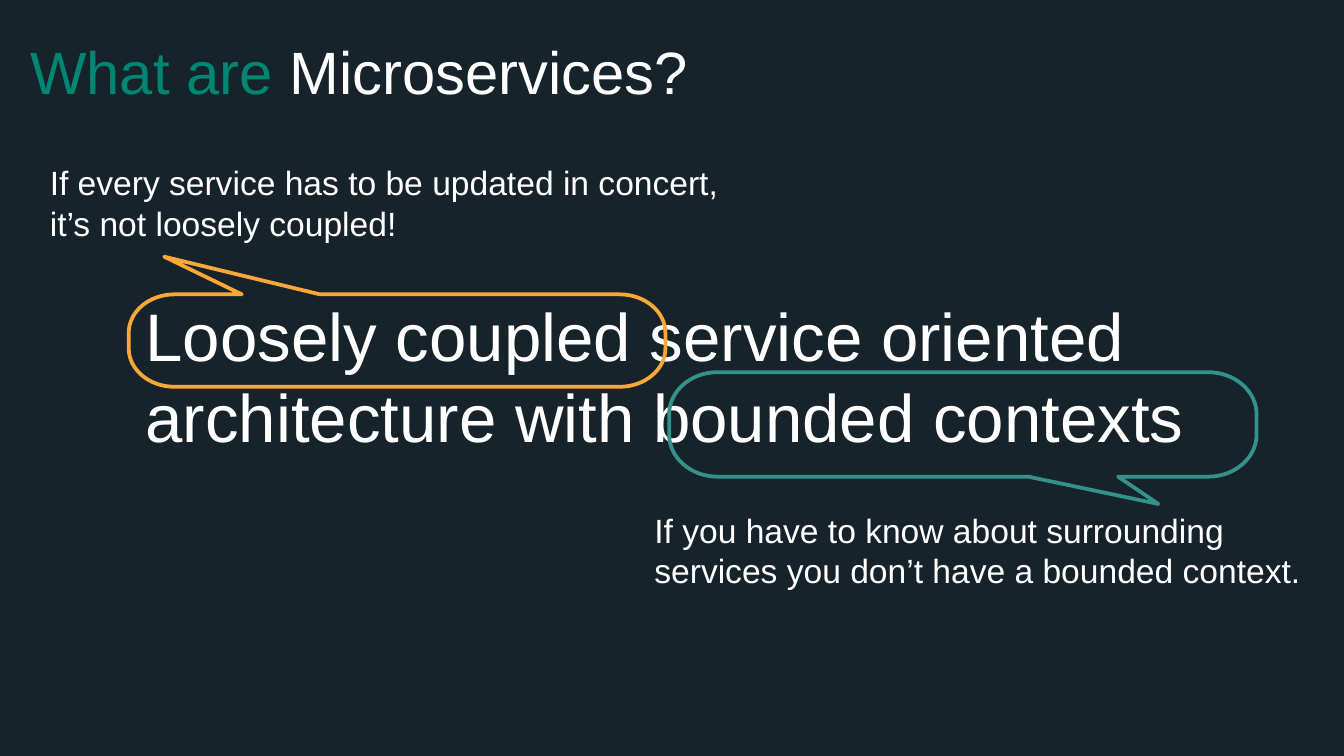
from dataclasses import dataclass

import pptx
import pptx.dml.color
import pptx.enum.text
import pptx.oxml.ns
import pptx.util
from lxml import etree

Pt = pptx.util.Pt
qn = pptx.oxml.ns.qn
ARC_HANDLE = 0.55


@dataclass(frozen=True)
class Theme:
    font: str = "Arial"
    background: str = "17232A"
    text: str = "FFFFFF"
    accent: str = "008774"
    coupling: str = "F9A737"
    context: str = "33928A"
    title_size: float = 32
    statement_size: float = 36
    remark_size: float = 18
    outline: float = 2


@dataclass(frozen=True)
class Passage:
    wording: str
    left: float
    top: float
    width: float
    height: float
    size: float


@dataclass(frozen=True)
class Callout:
    left: float
    top: float
    width: float
    height: float
    radius_x: float
    radius_y: float
    tail: tuple[tuple[float, float], ...]
    tail_after: int
    color: str


THEME = Theme()

PASSAGES = [
    Passage("Loosely coupled service oriented architecture with bounded contexts",
            78, 157.7, 594, 105, THEME.statement_size),
    Passage("If every service has to be updated in concert, it’s not loosely coupled!",
            26.7, 87, 368, 44, THEME.remark_size),
    Passage("If you have to know about surrounding services you don’t have a bounded context.",
            350.6, 273, 365, 44, THEME.remark_size),
]

CALLOUTS = [
    Callout(69, 157.7, 287.5, 49.5, 24.5, 20.5,
            ((129.6, 157.7), (88, 137.5), (171.4, 157.7)), 2, THEME.coupling),
    Callout(358.5, 199.4, 314.7, 56, 26, 22.5,
            ((599, 255.4), (620.6, 270), (551, 255.4)), 0, THEME.context),
]


def rgb(color: str) -> pptx.dml.color.RGBColor:
    return pptx.dml.color.RGBColor.from_string(color)


def write_text(frame, wording: str, *, size: float, color: str = THEME.text) -> None:
    paragraph = frame.paragraphs[0]
    paragraph.alignment = pptx.enum.text.PP_ALIGN.LEFT
    run = paragraph.add_run()
    run.text = wording
    run.font.name = THEME.font
    run.font.size = Pt(size)
    run.font.color.rgb = rgb(color)


def prepare_frame(frame, inset: float = 0) -> None:
    frame.word_wrap = True
    frame.auto_size = pptx.enum.text.MSO_AUTO_SIZE.NONE
    frame.vertical_anchor = pptx.enum.text.MSO_ANCHOR.TOP
    frame.margin_left = frame.margin_right = Pt(inset)
    frame.margin_top = frame.margin_bottom = Pt(inset)


def draw_title(slide) -> None:
    title = slide.shapes.title
    title.left, title.top = Pt(9), Pt(11.5)
    title.width, title.height = Pt(692.6), Pt(37.4)
    prepare_frame(title.text_frame, inset=7.2)
    write_text(title.text_frame, "What are ", size=THEME.title_size, color=THEME.accent)
    write_text(title.text_frame, "Microservices?", size=THEME.title_size)


def draw_passage(slide, passage: Passage) -> None:
    box = slide.shapes.add_textbox(
        Pt(passage.left), Pt(passage.top), Pt(passage.width), Pt(passage.height))
    prepare_frame(box.text_frame)
    write_text(box.text_frame, passage.wording, size=passage.size)


def corner_ends(callout: Callout) -> list[tuple[tuple[float, float], tuple[float, float]]]:
    left, top = callout.left, callout.top
    right, bottom = left + callout.width, top + callout.height
    inner_left, inner_right = left + callout.radius_x, right - callout.radius_x
    inner_top, inner_bottom = top + callout.radius_y, bottom - callout.radius_y
    return [((right, inner_bottom), (inner_right, bottom)),
            ((inner_left, bottom), (left, inner_bottom)),
            ((left, inner_top), (inner_left, top)),
            ((inner_right, top), (right, inner_top))]


def round_corner(start, segment, vertical_first: bool) -> None:
    end = segment[0]
    x0, y0, x1, y1 = (int(point.get(axis)) for point in (start, end) for axis in "xy")
    corner_x, corner_y = (x0, y1) if vertical_first else (x1, y0)
    curve = etree.Element(qn("a:cubicBezTo"))
    for x, y in ((x0, y0), (x1, y1)):
        etree.SubElement(curve, qn("a:pt"),
                         x=str(round(x + ARC_HANDLE * (corner_x - x))),
                         y=str(round(y + ARC_HANDLE * (corner_y - y))))
    curve.append(end)
    segment.getparent().replace(segment, curve)


def draw_callout(slide, callout: Callout) -> None:
    outline, corner_starts = [], []
    for quarter, ends in enumerate(corner_ends(callout)):
        corner_starts.append(len(outline))
        outline += ends
        if quarter == callout.tail_after:
            outline += callout.tail
    points = [(Pt(x), Pt(y)) for x, y in outline]
    builder = slide.shapes.build_freeform(*points[0])
    builder.add_line_segments(points[1:], close=True)
    bubble = builder.convert_to_shape()
    vertices = list(bubble.element.iter(qn("a:pt")))
    segments = list(bubble.element.iter(qn("a:lnTo")))
    for quarter, index in enumerate(corner_starts):
        round_corner(vertices[index], segments[index], quarter % 2 == 0)
    bubble.shadow.inherit = False
    bubble.fill.background()
    bubble.line.color.rgb = rgb(callout.color)
    bubble.line.width = Pt(THEME.outline)


def main() -> None:
    deck = pptx.Presentation()
    deck.slide_width, deck.slide_height = Pt(720), Pt(405)
    slide = deck.slides.add_slide(deck.slide_layouts.get_by_name("Title Only"))
    slide.background.fill.solid()
    slide.background.fill.fore_color.rgb = rgb(THEME.background)
    draw_title(slide)
    for passage in PASSAGES:
        draw_passage(slide, passage)
    for callout in CALLOUTS:
        draw_callout(slide, callout)
    deck.save("out.pptx")


if __name__ == "__main__":
    main()
